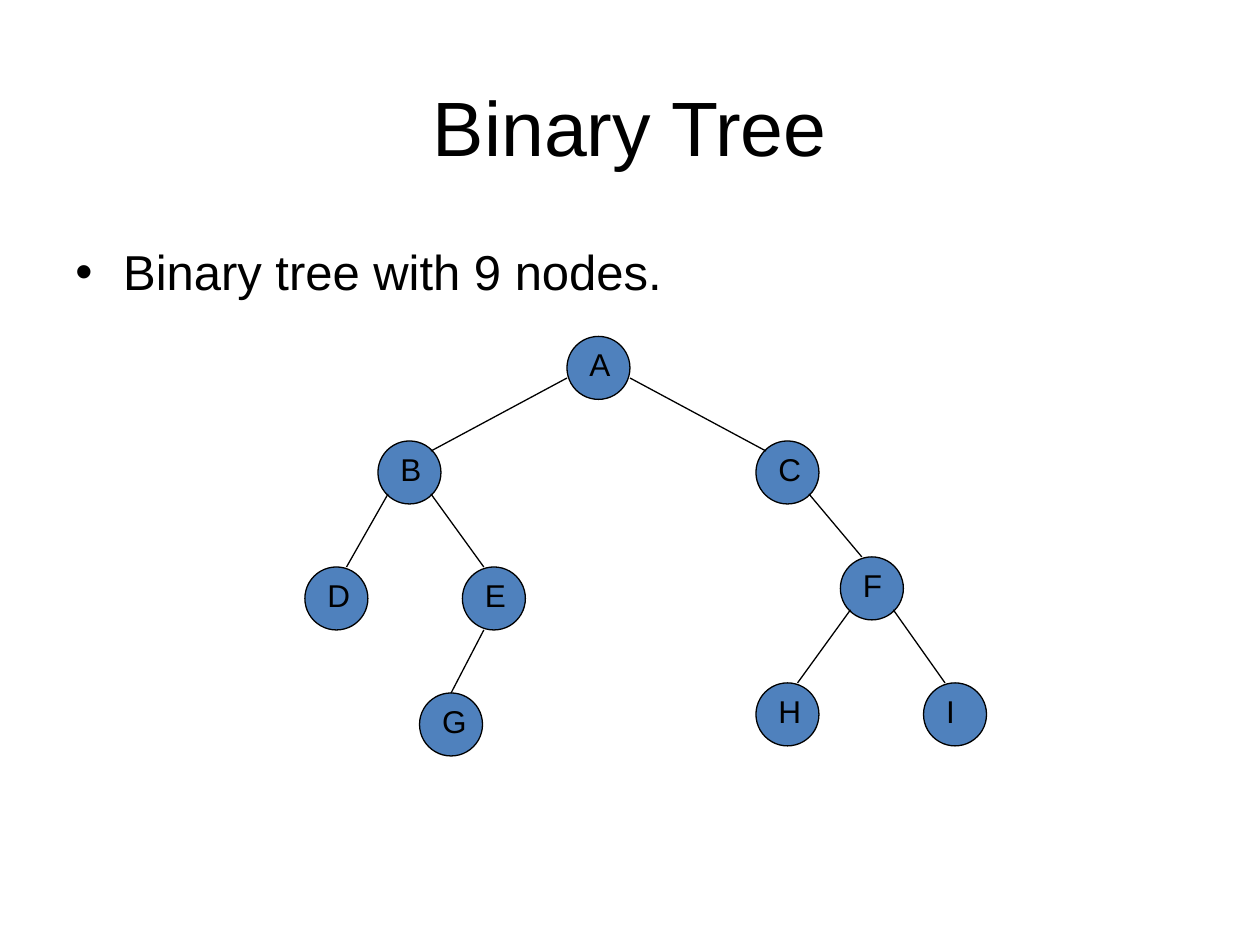
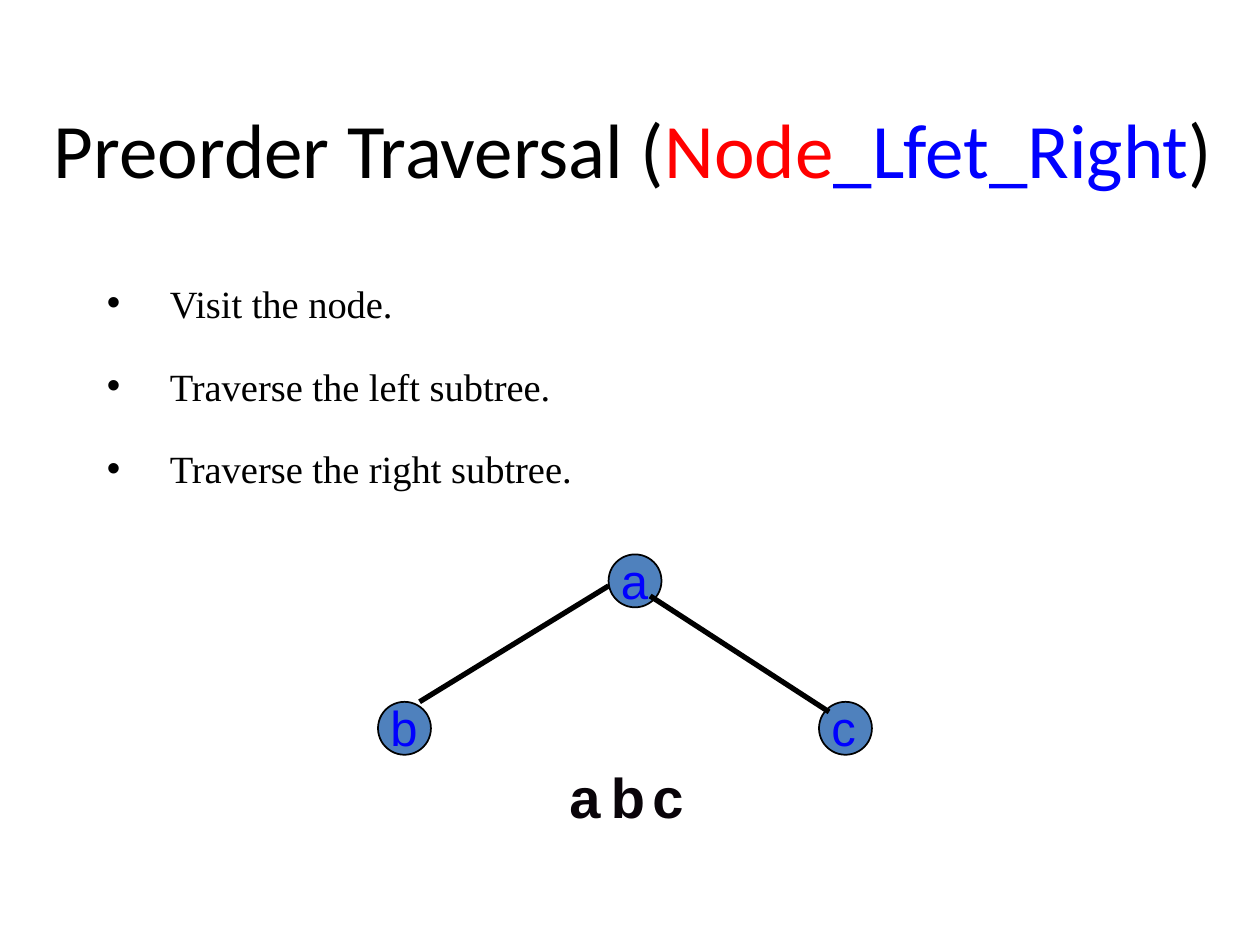
from pptx import Presentation
from pptx import util as u
from pptx.dml.color import RGBColor
from pptx.enum import shapes, text
from pptx.oxml.ns import qn
from lxml import etree

BLACK, RED, BLUE, INK, NODE_FILL = "000000", "FF0000", "0000FF", "090409", "4F81BD"
TITLE_SIZE = 44

# Each node is placed by the left and top of its circle.
NINE_NODES = {
    "A": (4.5, 2.67), "B": (3, 3.5), "C": (6, 3.5),
    "D": (2.42, 4.5), "E": (3.67, 4.5), "F": (6.67, 4.42),
    "G": (3.33, 5.5), "H": (6, 5.42), "I": (7.33, 5.42),
}
# Each edge runs from an offset in the parent's circle to one in the child's.
NINE_NODE_EDGES = [
    ("A", (0, 0.33), "B", (0.42, 0.08)), ("A", (0.5, 0.33), "C", (0.08, 0.08)),
    ("B", (0.08, 0.42), "D", (0.33, 0)), ("B", (0.42, 0.42), "E", (0.17, 0)),
    ("E", (0.17, 0.5), "G", (0.25, 0)), ("C", (0.42, 0.42), "F", (0.17, 0)),
    ("F", (0.08, 0.42), "H", (0.33, 0)), ("F", (0.42, 0.42), "I", (0.17, 0)),
]
THREE_NODES = {"a": (4.83, 4.4), "b": (3, 5.57), "c": (6.5, 5.57)}
THREE_NODE_EDGES = [
    ("a", (0, 0.25), "b", (0.33, 0)), ("a", (0.33, 0.33), "c", (0.08, 0.08)),
]


def colour(hex_string):
    return RGBColor.from_string(hex_string)


def add_span(para, words, size, font, hex_colour=BLACK, bold=False):
    span = para.add_run()
    span.text = words
    span.font.size = u.Pt(size)
    span.font.name = font
    span.font.bold = bold
    span.font.color.rgb = colour(hex_colour)


def add_box(page, left, top, width, height):
    box = page.shapes.add_textbox(*map(u.Inches, (left, top, width, height)))
    box.text_frame.word_wrap = True
    return box.text_frame


def add_label(page, left, top, width, height, *span):
    para = add_box(page, left, top, width, height).paragraphs[0]
    add_span(para, *span)


def add_title(page, place, align, font, spans):
    """Write a title from (words, colour) pairs."""
    frame = add_box(page, *place)
    frame.vertical_anchor = text.MSO_ANCHOR.MIDDLE
    para = frame.paragraphs[0]
    para.alignment = align
    for words, hex_colour in spans:
        add_span(para, words, TITLE_SIZE, font, hex_colour)


def add_bullets(page, place, lines, size, font, indent, gap=0, line_spacing=1.0):
    frame = add_box(page, *place)
    for index, line in enumerate(lines):
        para = frame.add_paragraph() if index else frame.paragraphs[0]
        properties = para._p.get_or_add_pPr()
        properties.set("marL", str(u.Inches(indent)))
        properties.set("indent", str(-u.Inches(indent)))
        etree.SubElement(properties, qn("a:buFont")).set("typeface", "Arial")
        etree.SubElement(properties, qn("a:buChar")).set("char", "•")
        para.line_spacing = line_spacing
        if index:
            para.space_before = u.Pt(gap)
        add_span(para, line, size, font)


def add_circle(page, left, top, diameter, line_width):
    circle = page.shapes.add_shape(
        shapes.MSO_SHAPE.OVAL, *map(u.Inches, (left, top, diameter, diameter)))
    circle.shadow.inherit = False
    circle.fill.solid()
    circle.fill.fore_color.rgb = colour(NODE_FILL)
    circle.line.color.rgb = colour(BLACK)
    circle.line.width = u.Pt(line_width)


def add_edge(page, start, end, line_width):
    edge = page.shapes.add_connector(
        shapes.MSO_CONNECTOR.STRAIGHT, *map(u.Inches, (*start, *end)))
    edge.line.color.rgb = colour(BLACK)
    edge.line.width = u.Pt(line_width)
    etree.SubElement(edge._element.spPr, qn("a:effectLst"))


def add_tree(page, nodes, edges, diameter, outline, edge_width, label_box, label_style):
    """Draw circles, then edges, then labels; label_box is relative to a circle."""
    for left, top in nodes.values():
        add_circle(page, left, top, diameter, outline)
    for parent, start, child, end in edges:
        add_edge(page,
                 [a + b for a, b in zip(nodes[parent], start)],
                 [a + b for a, b in zip(nodes[child], end)], edge_width)
    right, down, width, height = label_box
    for name, (left, top) in nodes.items():
        add_label(page, left + right, top + down, width, height, name, *label_style)


def build_binary_tree(page):
    add_title(page, (0.5, 0.5, 9, 1), text.PP_ALIGN.CENTER, "Arial",
              [("Binary Tree", BLACK)])
    add_bullets(page, (0.5, 1.92, 9, 0.58), ["Binary tree with 9 nodes."],
                28, "Arial", indent=0.38, line_spacing=0.9)
    add_tree(page, NINE_NODES, NINE_NODE_EDGES, diameter=0.5, outline=0.75,
             edge_width=0.75, label_box=(0.08, 0.02, 0.42, 0.4),
             label_style=(18, "Arial"))


def build_preorder(page):
    add_tree(page, THREE_NODES, THREE_NODE_EDGES, diameter=0.42, outline=1,
             edge_width=3, label_box=(0, -0.08, 0.83, 0.57),
             label_style=(28, "Arial", BLUE))
    for index, letter in enumerate("abc"):
        add_label(page, 4.42 + index * 0.33, 6, 0.42, 0.64,
                  letter, 32, "Arial", INK, True)
    add_title(page, (0.33, 0.42, 9.67, 1.5), text.PP_ALIGN.LEFT, "Calibri",
              [("Preorder Traversal (", BLACK), ("Node", RED),
               ("_Lfet_Right", BLUE), (")", BLACK)])
    add_bullets(page, (0.75, 2.17, 8.5, 1.83),
                ["Visit the node.", "Traverse the left subtree.",
                 "Traverse the right subtree."],
                22, "Times New Roman", indent=0.5, gap=21)


def main():
    deck = Presentation()
    deck.slide_width, deck.slide_height = u.Inches(10), u.Inches(7.5)
    for build in (build_binary_tree, build_preorder):
        build(deck.slides.add_slide(deck.slide_layouts[6]))
    deck.save("out.pptx")


if __name__ == "__main__":
    main()
